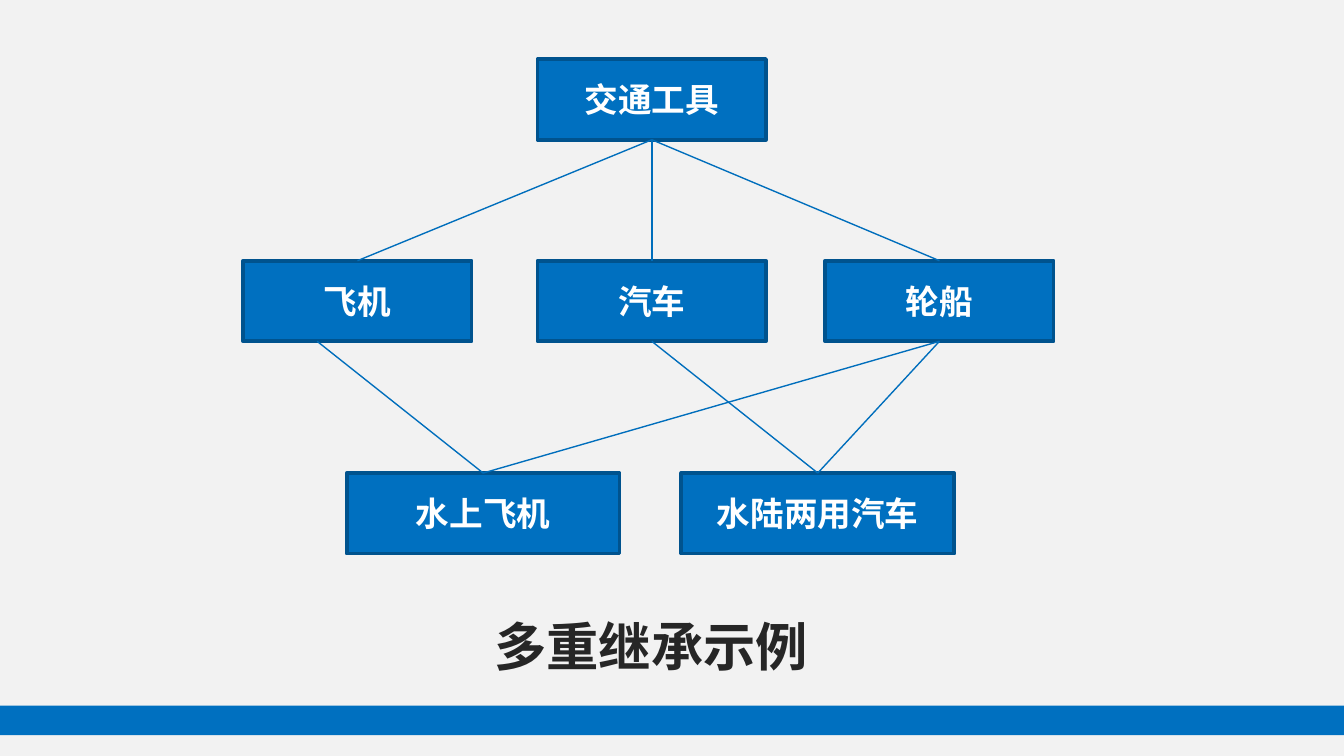
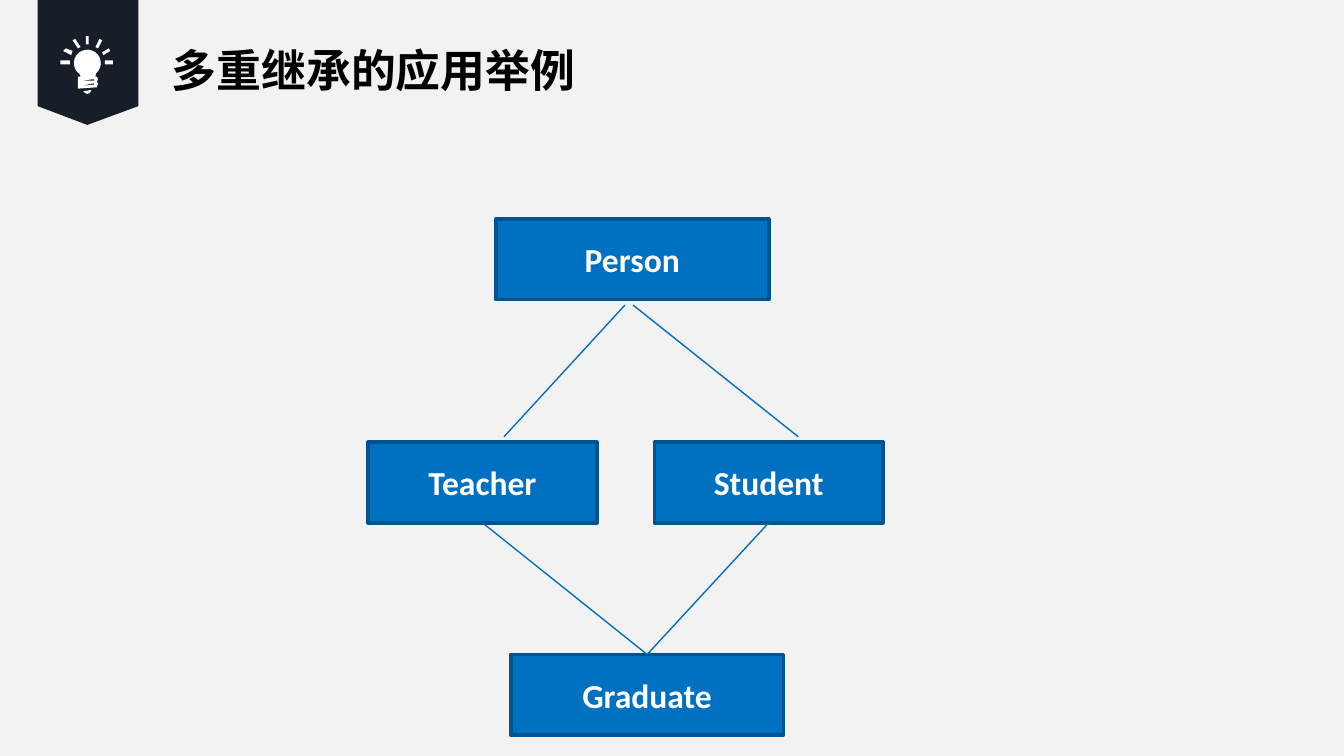
import math
import pptx
import pptx.util
import pptx.dml.color
import pptx.enum.dml
import pptx.enum.shapes
import pptx.enum.text
import pptx.oxml.ns
import lxml.etree

Inches = pptx.util.Inches
rgb = pptx.dml.color.RGBColor.from_string
kinds = pptx.enum.shapes
words = pptx.enum.text

PAPER = "F2F2F2"
BLUE = "0070C0"
EDGE = "00538E"
WIRE = "006EBC"
INK = "262626"
NAVY = "171E28"
WHITE = "FFFFFF"
BLACK = "000000"
FACE = "Calibri"
HAN = "Noto Sans CJK SC"
SMALL, WIDE, TALL = 1.7, 2.03, 0.6


def paint(shape, fill, edge=None):
    shape.shadow.inherit = False
    shape.fill.solid()
    shape.fill.fore_color.rgb = rgb(fill)
    if edge:
        shape.line.color.rgb = rgb(edge)
        shape.line.width = pptx.util.Pt(2)
    else:
        shape.line.fill.background()


def write(shape, text, size, face, hue, align):
    frame = shape.text_frame
    frame.text = text
    frame.paragraphs[0].alignment = align
    font = frame.paragraphs[0].runs[0].font
    font.size = pptx.util.Pt(size)
    font.name = face
    font.bold = True
    font.color.rgb = rgb(hue)


deck = pptx.Presentation()
deck.slide_width = Inches(10)
deck.slide_height = Inches(10) * 9 // 16

charts = [
    {
        "boxes": [
            ("交通工具", 4, 0.44, SMALL),
            ("飞机", 1.81, 1.94, SMALL),
            ("汽车", 4, 1.94, SMALL),
            ("轮船", 6.14, 1.94, SMALL),
            ("水上飞机", 2.58, 3.52, WIDE),
            ("水陆两用汽车", 5.07, 3.52, WIDE),
        ],
        "links": [
            ("交通工具", "飞机"),
            ("交通工具", "汽车"),
            ("交通工具", "轮船"),
            ("汽车", "水陆两用汽车"),
            ("轮船", "水陆两用汽车"),
            ("轮船", "水上飞机"),
            ((2.36, 2.54), "水上飞机"),
        ],
    },
    {
        "boxes": [
            ("Person", 3.69, 1.63, WIDE),
            ("Teacher", 2.74, 3.29, SMALL),
            ("Student", 4.87, 3.29, SMALL),
            ("Graduate", 3.8, 4.87, WIDE),
        ],
        "links": [
            ("Teacher", "Graduate"),
            ("Student", "Graduate"),
            ((4.71, 2.27), (5.94, 3.25)),
            ((4.65, 2.27), (3.75, 3.25)),
        ],
    },
]

slides = []
for chart in charts:
    slide = deck.slides.add_slide(deck.slide_layouts[6])
    slides.append(slide)
    slide.background.fill.solid()
    slide.background.fill.fore_color.rgb = rgb(PAPER)

    boxes = {}
    for name, left, top, width in chart["boxes"]:
        box = slide.shapes.add_shape(
            kinds.MSO_SHAPE.RECTANGLE,
            Inches(left), Inches(top), Inches(width), Inches(TALL))
        paint(box, BLUE, EDGE)
        write(box, name, 18, FACE, WHITE, words.PP_ALIGN.CENTER)
        box.text_frame.vertical_anchor = words.MSO_ANCHOR.MIDDLE
        boxes[name] = box

    for start, end in chart["links"]:
        x1, y1 = (0, 0) if start in boxes else start
        x2, y2 = (0, 0) if end in boxes else end
        line = slide.shapes.add_connector(
            kinds.MSO_CONNECTOR.STRAIGHT,
            Inches(x1), Inches(y1), Inches(x2), Inches(y2))
        if start in boxes:
            line.begin_connect(boxes[start], 2)
        if end in boxes:
            line.end_connect(boxes[end], 0)
        line.line.color.rgb = rgb(WIRE)
        line.line.width = pptx.util.Pt(0.75)
        lxml.etree.SubElement(
            line._element.spPr, pptx.oxml.ns.qn("a:effectLst"))

first, second = slides

band = first.shapes.add_shape(
    kinds.MSO_SHAPE.RECTANGLE, 0, Inches(5.25), Inches(10), Inches(0.22))
paint(band, BLUE)

label = first.shapes.add_textbox(
    Inches(3.34), Inches(4.52), Inches(3.01), Inches(0.57))
label.text_frame.word_wrap = True
write(label, "多重继承示例", 28, FACE, INK, words.PP_ALIGN.CENTER)
label.text_frame.auto_size = words.MSO_AUTO_SIZE.SHAPE_TO_FIT_TEXT

title = second.shapes.add_textbox(
    Inches(1.1), Inches(0.27), Inches(3.33), Inches(0.5))
title.text_frame.word_wrap = False
title.text_frame.margin_left = Inches(0.18)
write(title, "多重继承的应用举例", 24, HAN, BLACK, words.PP_ALIGN.LEFT)
title.text_frame.auto_size = words.MSO_AUTO_SIZE.SHAPE_TO_FIT_TEXT
props = title.text_frame.paragraphs[0].runs[0].font._element
east = lxml.etree.SubElement(props, pptx.oxml.ns.qn("a:ea"))
east.set("typeface", HAN)

flag = [[(0.28, 0), (1.03, 0), (1.03, 0.79), (0.65, 0.93), (0.28, 0.79)]]

rays = [
    [(0.64, 0.27), (0.66, 0.27), (0.66, 0.33), (0.64, 0.33)],
    [(0.84, 0.45), (0.84, 0.48), (0.78, 0.48), (0.78, 0.45)],
    [(0.81, 0.36), (0.82, 0.38), (0.77, 0.41), (0.76, 0.39)],
    [(0.74, 0.29), (0.71, 0.35), (0.73, 0.36), (0.76, 0.3)],
    [(0.45, 0.48), (0.45, 0.45), (0.52, 0.45), (0.52, 0.48)],
    [(0.47, 0.38), (0.49, 0.36), (0.54, 0.38), (0.53, 0.41)],
    [(0.54, 0.3), (0.58, 0.36), (0.6, 0.35), (0.56, 0.29)],
]
glass = []
for step in range(20):
    turn = math.radians(50 - 15 * step)
    glass.append((0.65 + 0.1 * math.cos(turn), 0.47 + 0.1 * math.sin(turn)))
screw = [
    (0.6, 0.57), (0.58, 0.57), (0.58, 0.66), (0.72, 0.65), (0.73, 0.62),
    (0.72, 0.61), (0.73, 0.59), (0.72, 0.57), (0.71, 0.57),
]
slits = [
    [(0.7, 0.62), (0.6, 0.64), (0.7, 0.63)],
    [(0.7, 0.59), (0.6, 0.6), (0.7, 0.6)],
]
tip = [(0.68, 0.67), (0.67, 0.69), (0.65, 0.7), (0.63, 0.69), (0.62, 0.68)]
bulb = rays + [glass + screw, tip] + slits

for loops, hue in [(flag, NAVY), (bulb, WHITE)]:
    pen = None
    for loop in loops:
        dots = [(round(x * 1000), round(y * 1000)) for x, y in loop]
        if pen is None:
            pen = second.shapes.build_freeform(*dots[0], scale=914.4)
        else:
            pen.move_to(*dots[0])
        pen.add_line_segments(dots[1:], close=True)
    paint(pen.convert_to_shape(), hue)

deck.save("out.pptx")
